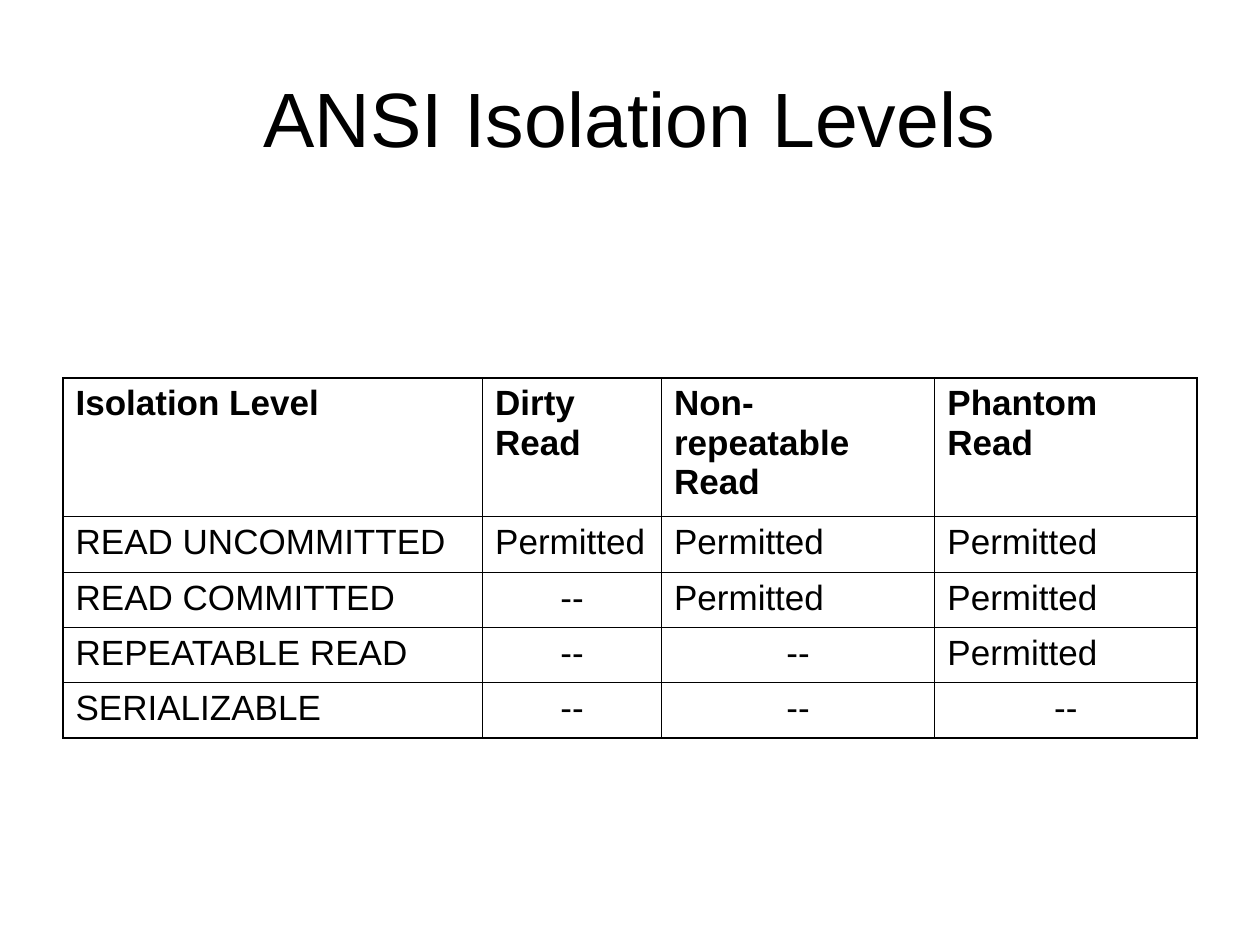
from lxml import etree
from pptx import Presentation
from pptx.dml.color import RGBColor
from pptx.enum.text import MSO_ANCHOR, PP_ALIGN
from pptx.oxml.ns import qn
from pptx.util import Inches, Pt

LEFT, CENTER = PP_ALIGN.LEFT, PP_ALIGN.CENTER
TOP, MIDDLE = MSO_ANCHOR.TOP, MSO_ANCHOR.MIDDLE
BLACK = RGBColor(0, 0, 0)
WHITE = RGBColor(255, 255, 255)
FONT = "Arial"

# Page grid, in inches
WIDTH, HEIGHT, MARGIN = 10, 7.5, 0.5
CONTENT_W = WIDTH - 2 * MARGIN
COLS = [3.33, 1.42, 2.17, 2.08]
HEADER_H, ROW_H = 1.1, 0.44
OUTER, INNER = Pt(1.08), Pt(0.45)

YES, NO = "Permitted", "--"
LEVELS = [
    ["Isolation Level", "Dirty Read", "Non-repeatable Read", "Phantom Read"],
    ["READ UNCOMMITTED", YES, YES, YES],
    ["READ COMMITTED", NO, YES, YES],
    ["REPEATABLE READ", NO, NO, YES],
    ["SERIALIZABLE", NO, NO, NO],
]


def write(tf, text, size=20, bold=False, align=LEFT):
    p = tf.paragraphs[0]
    p.alignment = align
    r = p.add_run()
    r.text = text
    r.font.name, r.font.size, r.font.bold = FONT, Pt(size), bold
    r.font.color.rgb = BLACK


def add_border(cell, side, width):
    ln = etree.SubElement(cell._tc.get_or_add_tcPr(), qn(f"a:ln{side}"), w=str(width))
    fill = etree.SubElement(ln, qn("a:solidFill"))
    etree.SubElement(fill, qn("a:srgbClr"), val=str(BLACK))


def add_title(s, text):
    title = s.shapes.title
    title.left, title.top = Inches(MARGIN), Inches(0.3)
    title.width, title.height = Inches(CONTENT_W), Inches(1.25)
    title.text_frame.vertical_anchor = MIDDLE
    write(title.text_frame, text, size=44, align=CENTER)


def add_levels_table(s, rows, top):
    heights = [HEADER_H] + [ROW_H] * (len(rows) - 1)
    table = s.shapes.add_table(len(rows), len(COLS), Inches(MARGIN), Inches(top),
                               Inches(CONTENT_W), Inches(sum(heights))).table
    table.horz_banding = False
    for column, width in zip(table.columns, COLS):
        column.width = Inches(width)
    for row, height in zip(table.rows, heights):
        row.height = Inches(height)

    last_row, last_col = len(rows) - 1, len(COLS) - 1
    for i, row in enumerate(rows):
        for j, text in enumerate(row):
            cell = table.cell(i, j)
            cell.vertical_anchor = TOP
            write(cell.text_frame, text, bold=i == 0,
                  align=CENTER if text == NO else LEFT)
            # Heavier lines on the outer edge of the table
            edges = {"L": j == 0, "R": j == last_col, "T": i == 0, "B": i == last_row}
            for side, is_outer in edges.items():
                add_border(cell, side, OUTER if is_outer else INNER)
            cell.fill.background()


def main():
    prs = Presentation()
    prs.slide_width, prs.slide_height = Inches(WIDTH), Inches(HEIGHT)
    s = prs.slides.add_slide(prs.slide_layouts[5])
    s.background.fill.solid()
    s.background.fill.fore_color.rgb = WHITE
    add_title(s, "ANSI Isolation Levels")
    add_levels_table(s, LEVELS, top=3)
    prs.save("out.pptx")


if __name__ == "__main__":
    main()
